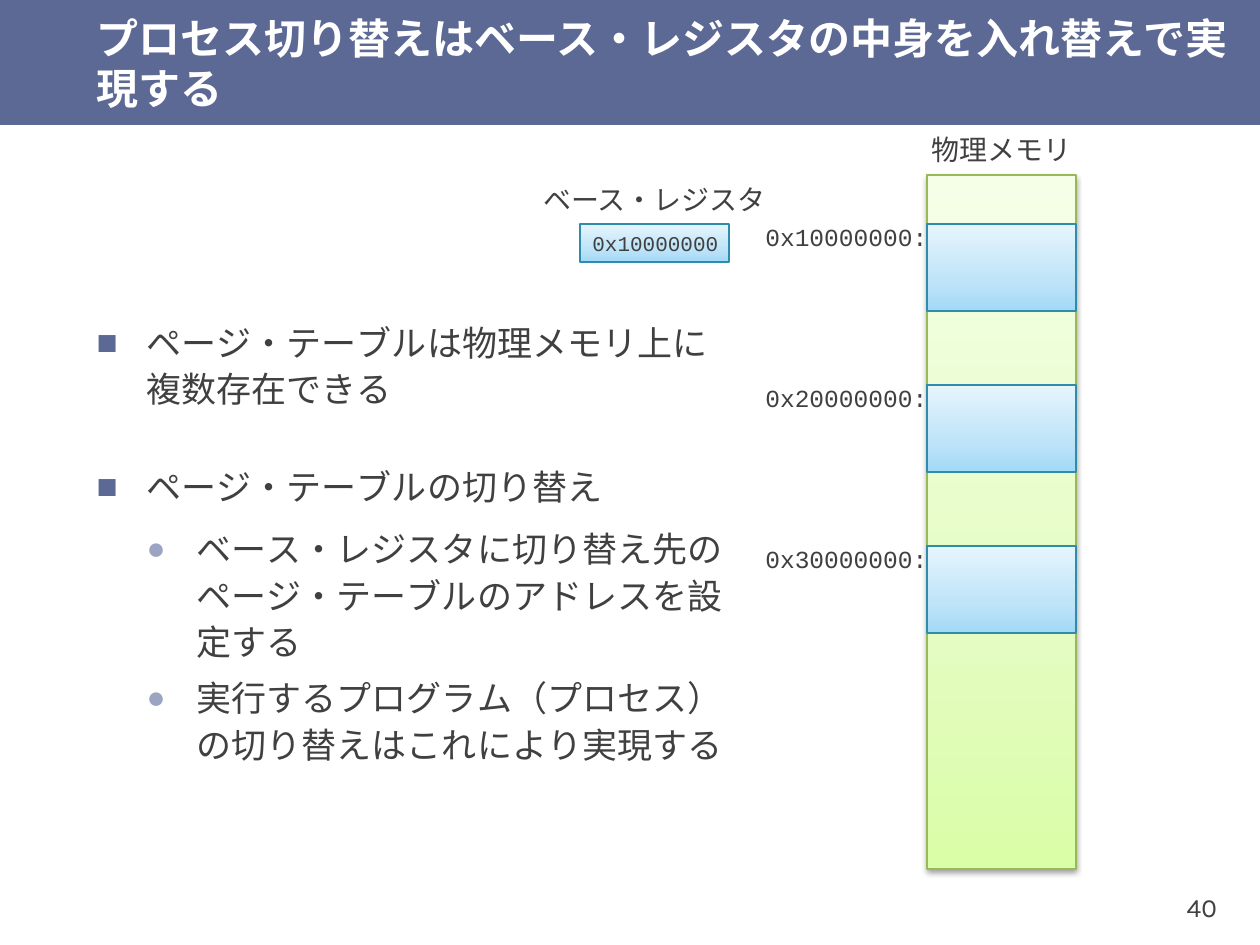
from copy import deepcopy
from dataclasses import dataclass

from pptx import Presentation
from pptx.dml.color import RGBColor
from pptx.enum.shapes import MSO_SHAPE
from pptx.enum.text import MSO_ANCHOR, MSO_AUTO_SIZE, PP_ALIGN
from pptx.oxml.ns import qn
from pptx.util import Emu, Pt
from lxml.etree import SubElement

EMU_PER_PIXEL = 914400 / 126


def px(length):
    return Emu(round(length * EMU_PER_PIXEL))


@dataclass(frozen=True)
class Theme:
    heading_font: str = "Karla"
    code_font: str = "Courier New"
    label_font: str = "Noto Sans CJK JP"
    bar: str = "5C6994"
    sub_bullet: str = "9BA4C1"
    ink: str = "404040"
    white: str = "FFFFFF"
    memory: tuple = ("DAFDA7", "E4FCC2", "F5FFE7")
    memory_line: str = "98B955"
    table: tuple = ("A2D9F7", "BFE4F8", "E6F5FD")
    table_line: str = "2E8DAB"
    title_size: int = 24
    body_size: int = 20
    label_size: int = 16
    number_size: int = 15
    address_size: int = 14
    register_size: int = 12


class SlideBuilder:
    def __init__(self, slide, theme):
        self.slide = slide
        self.theme = theme

    def place(self, shape, box):
        for name, value in zip(("left", "top", "width", "height"), box):
            setattr(shape, name, px(value))

    def frame(self, shape, wrap=True, **margins):
        text_frame = shape.text_frame
        settings = {"word_wrap": wrap, "auto_size": MSO_AUTO_SIZE.NONE,
                    "vertical_anchor": MSO_ANCHOR.MIDDLE}
        settings.update({f"margin_{side}": px(value) for side, value in margins.items()})
        for name, value in settings.items():
            setattr(text_frame, name, value)
        return text_frame

    def add_text(self, paragraph, text, font, size, color=None, bold=False,
                 align=PP_ALIGN.LEFT):
        paragraph.alignment = align
        run = paragraph.add_run()
        run.text = text
        for name, value in {"name": font, "size": Pt(size), "bold": bold}.items():
            setattr(run.font, name, value)
        run.font.color.rgb = RGBColor.from_string(color or self.theme.ink)
        SubElement(run._r.get_or_add_rPr(), qn("a:ea"), typeface=font)

    def bar(self, box):
        shape = self.slide.shapes.add_shape(MSO_SHAPE.RECTANGLE, *map(px, box))
        shape.shadow.inherit = False
        shape.fill.solid()
        shape.fill.fore_color.rgb = RGBColor.from_string(self.theme.bar)
        shape.line.fill.background()
        self.slide.shapes._spTree.insert(2, shape._element)

    def title(self, text, box):
        shape = self.slide.shapes.title
        self.place(shape, box)
        paragraph = self.frame(shape, top=0, bottom=0).paragraphs[0]
        self.add_text(paragraph, text, self.theme.heading_font, self.theme.title_size,
                      self.theme.white, bold=True)

    def bullets(self, items, box):
        shape = self.slide.placeholders[1]
        self.place(shape, box)
        text_frame = self.frame(shape)
        styles = (("■", self.theme.bar, 100, 24, 6),
                  ("●", self.theme.sub_bullet, 90, 3, 3))
        for index, (level, text) in enumerate(items):
            paragraph = text_frame.add_paragraph() if index else text_frame.paragraphs[0]
            symbol, color, percent, before, after = styles[level]
            properties = paragraph._p.get_or_add_pPr()
            properties.set("marL", str(px(50 * (level + 1))))
            properties.set("indent", str(px(-50)))
            bullet_color = SubElement(properties, qn("a:buClr"))
            SubElement(bullet_color, qn("a:srgbClr"), val=color)
            SubElement(properties, qn("a:buSzPct"), val=str(percent * 1000))
            SubElement(properties, qn("a:buChar"), char=symbol)
            settings = {"level": level, "line_spacing": 1.1, "space_after": Pt(after),
                        "space_before": Pt(before if index else 0)}
            for name, value in settings.items():
                setattr(paragraph, name, value)
            self.add_text(paragraph, text, self.theme.code_font, self.theme.body_size)

    def label(self, text, box, font, size, align=PP_ALIGN.LEFT, **margins):
        shape = self.slide.shapes.add_textbox(*map(px, box))
        paragraph = self.frame(shape, wrap=False, **margins).paragraphs[0]
        self.add_text(paragraph, text, font, size, align=align)

    def block(self, box, colors, line_color):
        shape = self.slide.shapes.add_shape(MSO_SHAPE.RECTANGLE, *map(px, box))
        shape.shadow.inherit = False
        shape.fill.gradient()
        shape.fill.gradient_angle = 90
        stop_list = shape._element.spPr.find(".//" + qn("a:gsLst"))
        stop_list.insert(1, deepcopy(stop_list[0]))
        for stop, color, position in zip(shape.fill.gradient_stops, colors, (0, 0.35, 1)):
            stop.color.rgb = RGBColor.from_string(color)
            stop.position = position
        shape.line.color.rgb = RGBColor.from_string(line_color)
        shape.line.width = Pt(0.75)
        return shape

    def memory(self, box):
        shape = self.block(box, self.theme.memory, self.theme.memory_line)
        effects = shape._element.spPr.find(qn("a:effectLst"))
        shadow = SubElement(effects, qn("a:outerShdw"), blurRad=str(Pt(3.1)),
                            dist=str(Pt(1.6)), dir="5400000", rotWithShape="0")
        color = SubElement(shadow, qn("a:srgbClr"), val="000000")
        SubElement(color, qn("a:alpha"), val="38000")

    def table_block(self, box, text=None):
        shape = self.block(box, self.theme.table, self.theme.table_line)
        if text:
            paragraph = self.frame(shape, wrap=False).paragraphs[0]
            self.add_text(paragraph, text, self.theme.code_font, self.theme.register_size)


def main():
    presentation = Presentation()
    presentation.slide_width, presentation.slide_height = px(1260), px(945)
    theme = Theme()
    slide = presentation.slides.add_slide(presentation.slide_layouts[1])
    builder = SlideBuilder(slide, theme)

    builder.bar((0, 0, 1260, 125))
    builder.title("プロセス切り替えはベース・レジスタの中身を入れ替えで実現する", (84, 0, 1176, 125))
    builder.bullets((
        (0, "ページ・テーブルは物理メモリ上に複数存在できる"),
        (0, "ページ・テーブルの切り替え"),
        (1, "ベース・レジスタに切り替え先のページ・テーブルのアドレスを設定する"),
        (1, "実行するプログラム（プロセス）の切り替えはこれにより実現する"),
    ), (84, 175, 658, 732))

    builder.memory((927, 175, 149, 694))
    for index, address in enumerate(("0x10000000", "0x20000000", "0x30000000")):
        top = 224 + 161 * index
        builder.table_block((927, top, 149, 87))
        builder.label(f"{address}:", (753, top, 74, 25), theme.code_font, theme.address_size)
    builder.table_block((580, 224, 149, 38), "0x10000000")

    for text, left, top in (("物理メモリ", 952, 125), ("ベース・レジスタ", 605, 175)):
        builder.label(text, (left, top, 99, 49), theme.label_font, theme.label_size,
                      PP_ALIGN.CENTER)
    builder.label("40", (1126, 869, 100, 76), theme.heading_font, theme.number_size,
                  PP_ALIGN.RIGHT, left=9, right=9, top=5, bottom=5)

    presentation.save("out.pptx")


if __name__ == "__main__":
    main()
